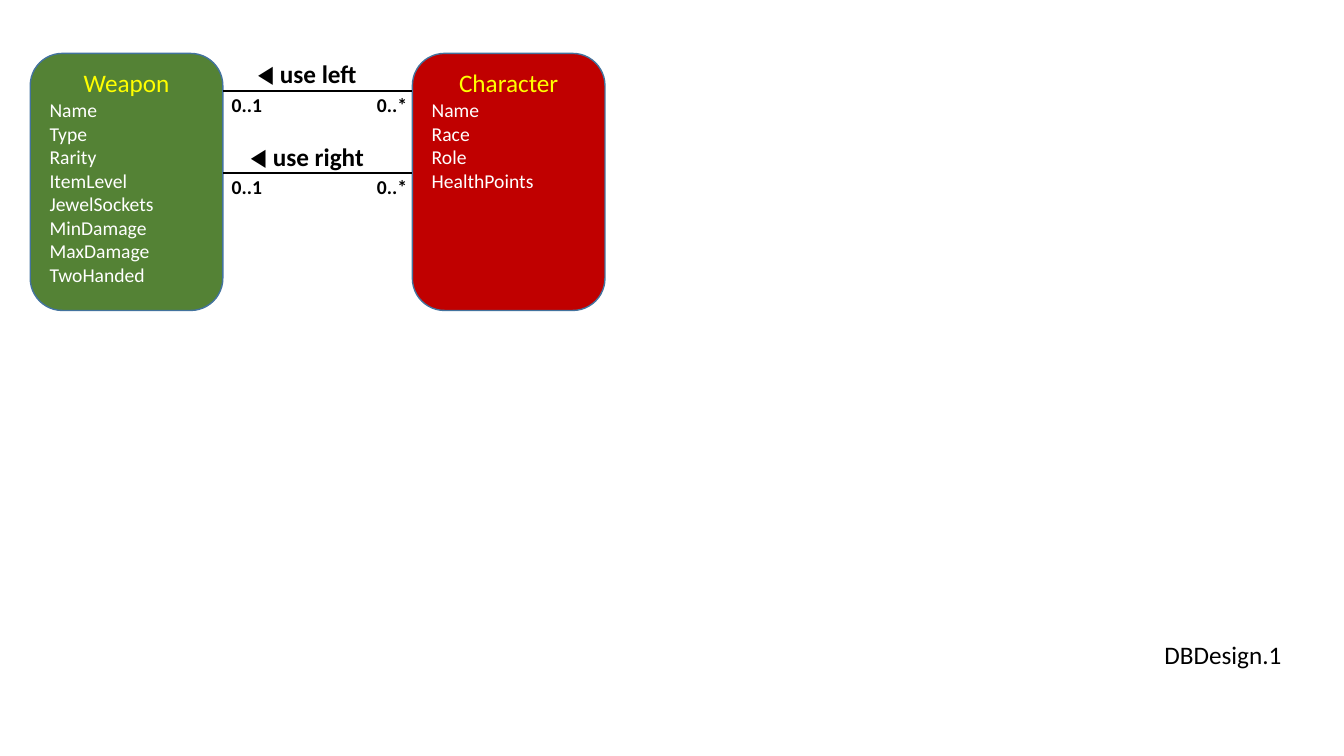
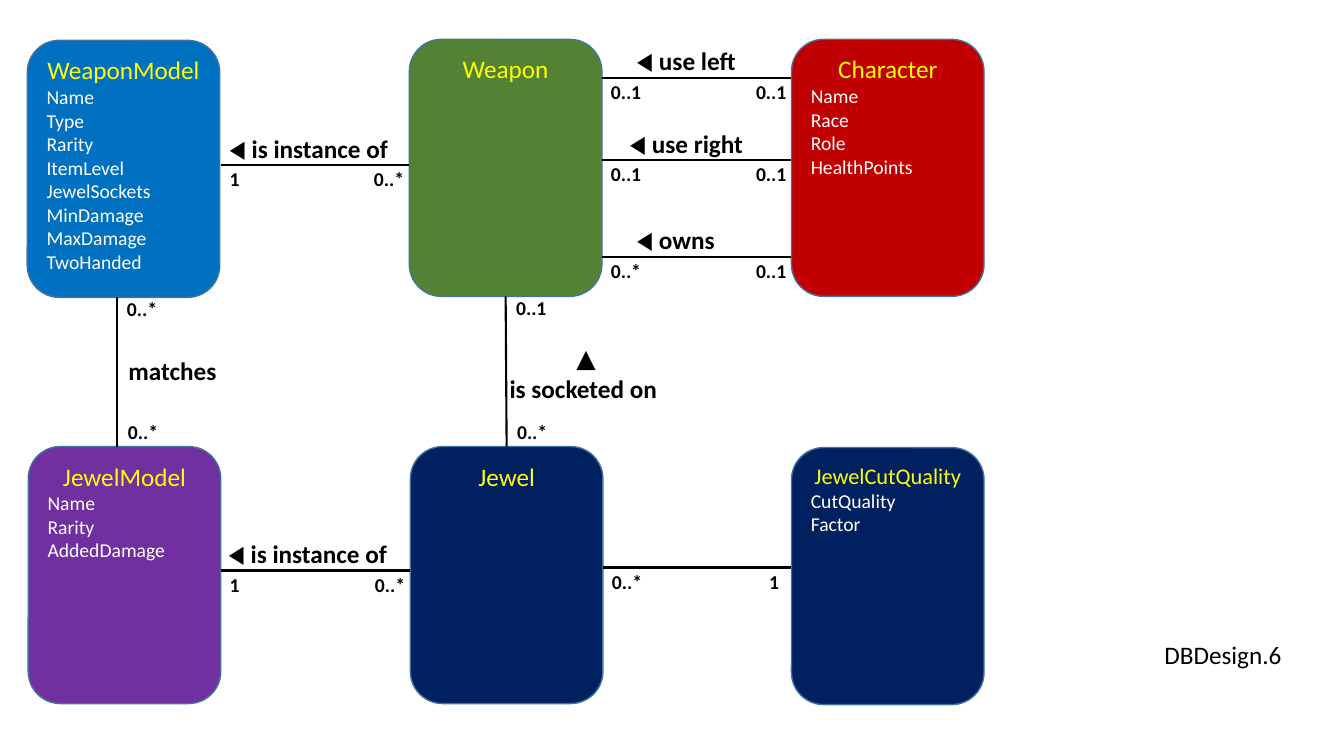
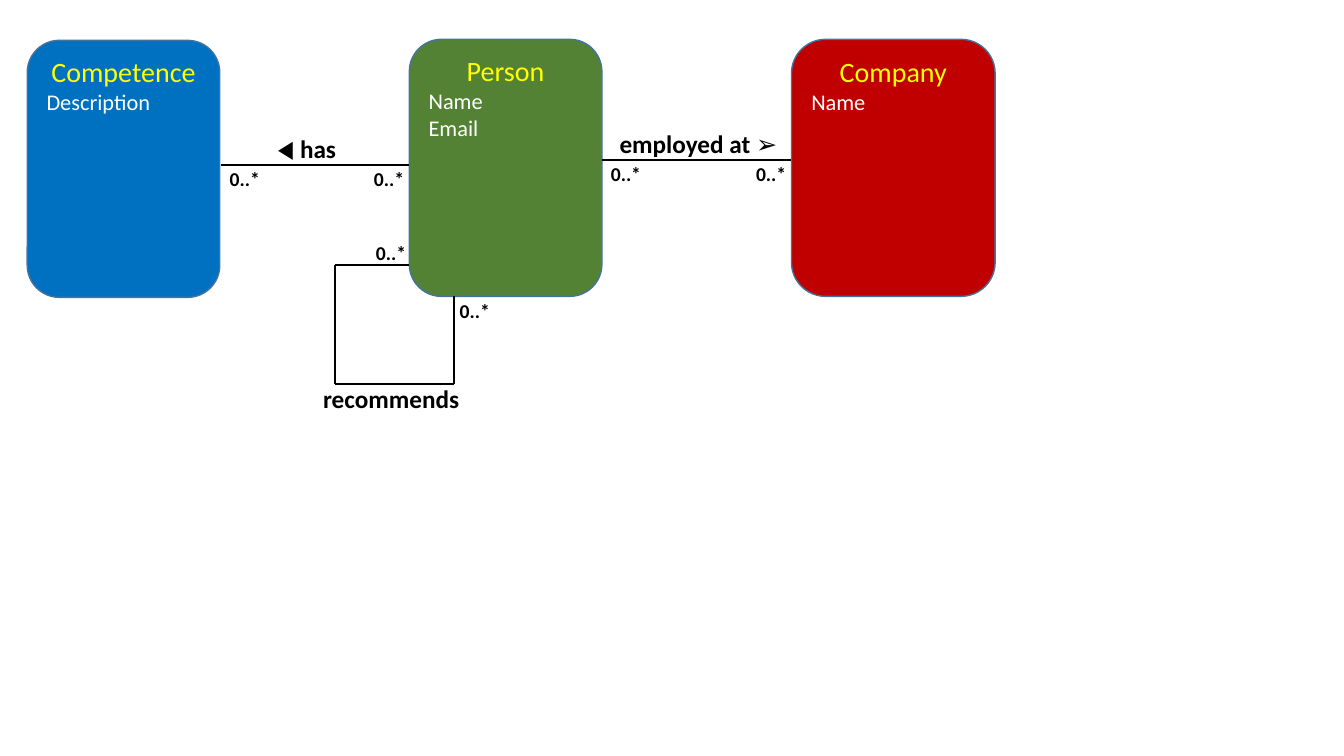
from dataclasses import dataclass
from itertools import pairwise

from lxml.etree import SubElement
from pptx import Presentation
from pptx.dml.color import RGBColor
from pptx.enum.shapes import MSO_CONNECTOR, MSO_SHAPE
from pptx.enum.text import MSO_ANCHOR, MSO_AUTO_SIZE, PP_ALIGN
from pptx.oxml.ns import qn
from pptx.shapes.autoshape import Shape
from pptx.shapes.connector import Connector
from pptx.slide import Slide
from pptx.text.text import TextFrame
from pptx.util import Inches, Pt

# Shared style
COLORS = {
    "green": "548235",
    "red": "C00000",
    "blue": "0070C0",
    "purple": "7030A0",
    "navy": "002060",
    "outline": "43739E",
    "title": "FFFF00",
    "attribute": "FFFFFF",
    "ink": "000000",
}
FONT = "Calibri"
BOX_WIDTH, BOX_HEIGHT = 1.91, 2.55
BOTTOM, TOP = 2, 0  # connection sites


@dataclass(frozen=True)
class Entity:
    name: str
    left: float
    top: float
    fill: str
    attributes: tuple[str, ...] = ()
    title_size: int = 18
    size: int = 14
    width: float = BOX_WIDTH


@dataclass(frozen=True)
class Label:
    text: str
    left: float
    top: float
    width: float
    size: int = 18
    bold: bool = True
    align: PP_ALIGN = PP_ALIGN.LEFT


@dataclass(frozen=True)
class Across:
    """A horizontal association with its name above the line."""
    left: float
    right: float
    y: float
    near: str
    far: str
    name: str = ""
    name_left: float = 0
    name_width: float = 0


@dataclass(frozen=True)
class Down:
    """A vertical association, joined to two entities when they are named."""
    x: float
    top: float
    bottom: float
    near: str
    far: str
    name: Label
    joins: tuple[str, str] | None = None


@dataclass(frozen=True)
class Diagram:
    entities: tuple[Entity, ...]
    across: tuple[Across, ...]
    down: tuple[Down, ...] = ()
    labels: tuple[Label, ...] = ()
    loop: tuple[tuple[float, float], ...] = ()
    footer: str = ""


# Content
WEAPON_ATTRIBUTES = ("Name", "Type", "Rarity", "ItemLevel", "JewelSockets",
                     "MinDamage", "MaxDamage", "TwoHanded")
CHARACTER_ATTRIBUTES = ("Name", "Race", "Role", "HealthPoints")

DIAGRAMS = (
    Diagram(
        entities=(
            Entity("Weapon", 0.3, 0.53, "green", WEAPON_ATTRIBUTES),
            Entity("Character", 4.09, 0.53, "red", CHARACTER_ATTRIBUTES),
        ),
        across=(
            Across(2.21, 4.09, 0.9, "0..1", "0..*", " ◀ use left", 2.4, 1.29),
            Across(2.21, 4.09, 1.72, "0..1", "0..*", " ◀ use right", 2.33, 1.43),
        ),
        footer="DBDesign.1",
    ),
    Diagram(
        entities=(
            Entity("WeaponModel", 0.27, 0.4, "blue", WEAPON_ATTRIBUTES),
            Entity("Weapon", 4.06, 0.39, "green"),
            Entity("Character", 7.85, 0.39, "red", CHARACTER_ATTRIBUTES),
            Entity("JewelModel", 0.28, 4.43, "purple",
                   ("Name", "Rarity", "AddedDamage")),
            Entity("Jewel", 4.07, 4.43, "navy"),
            Entity("JewelCutQuality", 7.85, 4.44, "navy",
                   ("CutQuality", "Factor"), title_size=16),
        ),
        across=(
            Across(5.97, 7.85, 0.77, "0..1", "0..1", " ◀ use left", 6.16, 1.29),
            Across(5.97, 7.85, 1.59, "0..1", "0..1", " ◀ use right", 6.09, 1.43),
            Across(5.97, 7.85, 2.55, "0..*", "0..1", " ◀ owns", 6.16, 1.07),
            Across(2.19, 4.06, 1.64, "1", "0..*", " ◀ is instance of", 2.12, 1.88),
            Across(2.19, 4.07, 5.66, "1", "0..*", " ◀ is instance of", 2.11, 1.88),
            Across(5.98, 7.85, 5.63, "0..*", "1"),
        ),
        down=(
            Down(1.16, 2.95, 4.43, "0..*", "0..*",
                 Label("matches", 1.17, 3.48, 1.08, align=PP_ALIGN.CENTER)),
            Down(5.02, 2.94, 4.43, "0..1", "0..*",
                 Label(" ▲\nis socketed on", 4.95, 3.35, 1.67,
                       align=PP_ALIGN.CENTER),
                 joins=("Weapon", "Jewel")),
        ),
        footer="DBDesign.6",
    ),
    Diagram(
        entities=(
            Entity("Competence", 0.27, 0.4, "blue", ("Description",), 20, 16),
            Entity("Person", 4.06, 0.39, "green", ("Name", "Email"), 20, 16),
            Entity("Company", 7.85, 0.39, "red", ("Name",), 20, 16, 2.02),
        ),
        across=(
            Across(5.97, 7.85, 1.59, "0..*", "0..*", " employed at ➢", 5.99, 1.82),
            Across(2.19, 4.06, 1.64, "0..*", "0..*", " ◀ has", 2.6, 0.88),
        ),
        labels=(
            Label("recommends", 3.1, 3.75, 1.56, align=PP_ALIGN.CENTER),
            Label("0..*", 3.63, 2.34, 0.51, 14),
            Label("0..*", 4.46, 2.92, 0.51, 14),
        ),
        loop=((4.06, 2.63), (3.32, 2.63), (3.32, 3.81), (4.5, 3.81), (4.5, 2.94)),
    ),
)


# Drawing
def color(name: str) -> RGBColor:
    return RGBColor.from_string(COLORS[name])


def add_text(frame: TextFrame, text: str, *, size: int, ink: str = "ink",
             bold: bool = False, align: PP_ALIGN = PP_ALIGN.LEFT) -> None:
    """Add one paragraph, using the empty first one if it is still free."""
    para = frame.paragraphs[0]
    if para.runs:
        para = frame.add_paragraph()
    para.alignment = align
    span = para.add_run()
    span.text = text
    span.font.name = FONT
    span.font.size = Pt(size)
    span.font.bold = bold
    span.font.color.rgb = color(ink)


def draw_label(page: Slide, label: Label) -> None:
    lines = label.text.split("\n")
    height = (0.34 if label.size == 14 else 0.4) + 0.31 * (len(lines) - 1)
    box = page.shapes.add_textbox(Inches(label.left), Inches(label.top),
                                  Inches(label.width), Inches(height))
    frame = box.text_frame
    frame.word_wrap = False
    frame.auto_size = MSO_AUTO_SIZE.SHAPE_TO_FIT_TEXT
    for line in lines:
        add_text(frame, line, size=label.size, bold=label.bold, align=label.align)


def draw_multiplicity(page: Slide, text: str, left: float, top: float) -> None:
    width = 0.3 if len(text) == 1 else 0.51
    draw_label(page, Label(text, left, top, width, 14))


def draw_line(page: Slide, start: tuple[float, float],
              end: tuple[float, float]) -> Connector:
    line = page.shapes.add_connector(MSO_CONNECTOR.STRAIGHT,
                                     *map(Inches, start), *map(Inches, end))
    line.line.color.rgb = color("ink")
    line.line.width = Pt(1.5)
    SubElement(line._element.spPr, qn("a:effectLst"))
    return line


def draw_entity(page: Slide, entity: Entity) -> Shape:
    box = page.shapes.add_shape(MSO_SHAPE.ROUNDED_RECTANGLE,
                                Inches(entity.left), Inches(entity.top),
                                Inches(entity.width), Inches(BOX_HEIGHT))
    box.shadow.inherit = False
    box.fill.solid()
    box.fill.fore_color.rgb = color(entity.fill)
    box.line.color.rgb = color("outline")
    box.line.width = Pt(1)
    frame = box.text_frame
    frame.word_wrap = True
    frame.vertical_anchor = MSO_ANCHOR.TOP
    add_text(frame, entity.name, size=entity.title_size, ink="title",
             align=PP_ALIGN.CENTER)
    for attribute in entity.attributes:
        add_text(frame, attribute, size=entity.size, ink="attribute")
    return box


def draw_across(page: Slide, link: Across) -> None:
    draw_line(page, (link.left, link.y), (link.right, link.y))
    if link.name:
        draw_label(page, Label(link.name, link.name_left, link.y - 0.37,
                               link.name_width))
    far_gap = 0.32 if len(link.far) == 1 else 0.45
    draw_multiplicity(page, link.near, link.left - 0.01, link.y - 0.03)
    draw_multiplicity(page, link.far, link.right - far_gap, link.y - 0.03)


def draw_down(page: Slide, link: Down, boxes: dict[str, Shape]) -> None:
    line = draw_line(page, (link.x, link.top), (link.x, link.bottom))
    if link.joins:
        upper, lower = link.joins
        line.begin_connect(boxes[upper], BOTTOM)
        line.end_connect(boxes[lower], TOP)
    draw_label(page, link.name)
    draw_multiplicity(page, link.near, link.x, link.top - 0.05)
    draw_multiplicity(page, link.far, link.x + 0.01, link.bottom - 0.31)


def draw_diagram(page: Slide, diagram: Diagram) -> None:
    boxes = {entity.name: draw_entity(page, entity) for entity in diagram.entities}
    for link in diagram.across:
        draw_across(page, link)
    for link in diagram.down:
        draw_down(page, link, boxes)
    for start, end in pairwise(diagram.loop):
        draw_line(page, start, end)
    for label in diagram.labels:
        draw_label(page, label)
    if diagram.footer:
        draw_label(page, Label(diagram.footer, 11.45, 6.29, 1.38, bold=False))


def main() -> None:
    deck = Presentation()
    deck.slide_width, deck.slide_height = Inches(13.33), Inches(7.5)
    blank = deck.slide_layouts[6]
    for diagram in DIAGRAMS:
        draw_diagram(deck.slides.add_slide(blank), diagram)
    deck.save("out.pptx")


if __name__ == "__main__":
    main()
